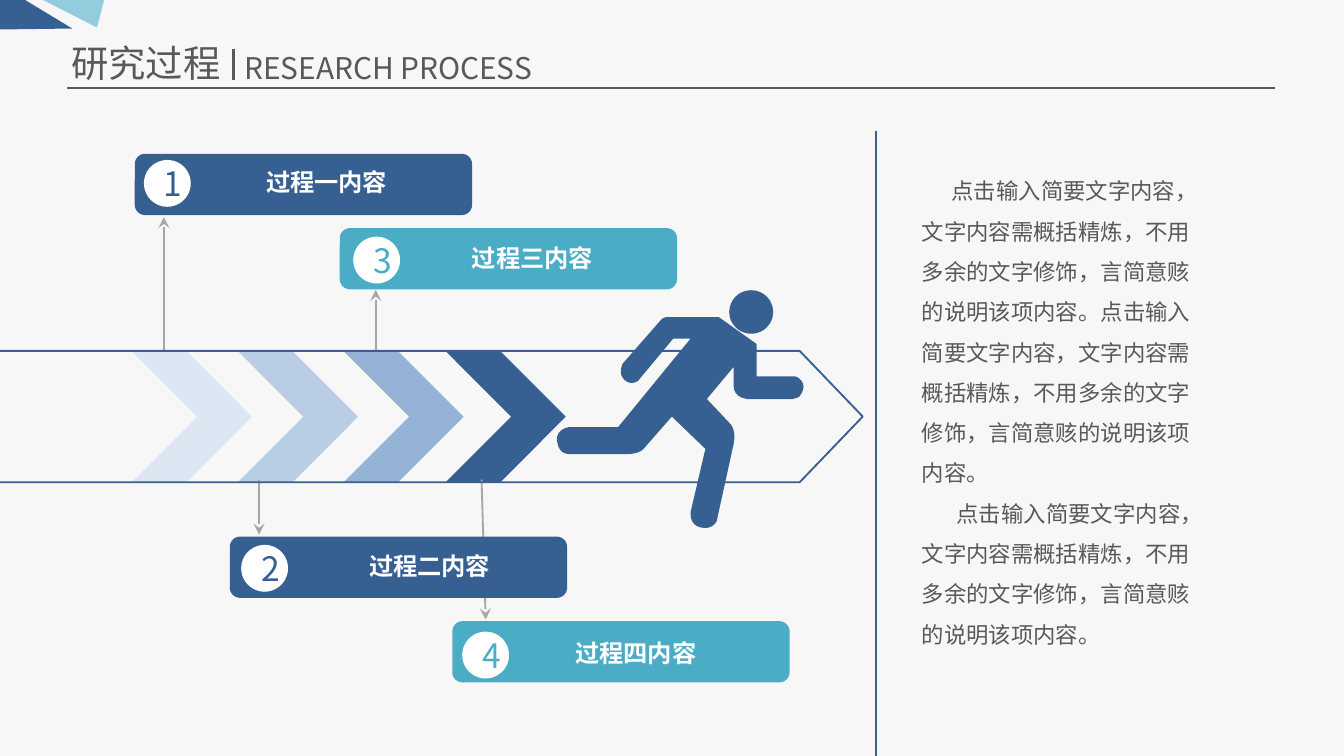
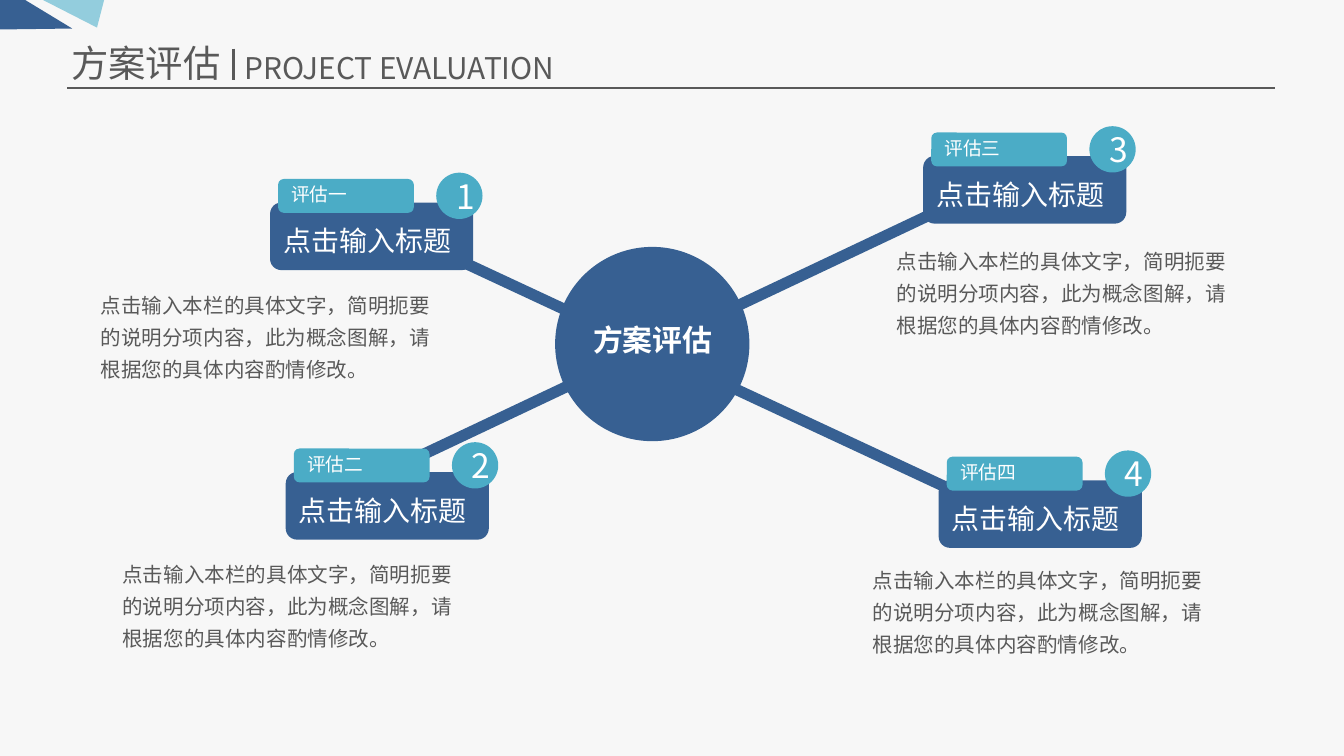
from pptx import Presentation
from pptx.dml.color import RGBColor
from pptx.enum.shapes import MSO_CONNECTOR, MSO_SHAPE
from pptx.enum.text import MSO_ANCHOR, MSO_AUTO_SIZE, PP_ALIGN
from pptx.oxml.ns import qn
from pptx.util import Pt
from lxml.etree import SubElement

FONT = "Noto Sans CJK SC"
PAPER, WHITE, INK, GREY = "F7F7F7", "FFFFFF", "595959", "A6A6A6"
NAVY, TEAL, SKY = "376092", "4BACC6", "93CDDD"

INTRO = "点击输入简要文字内容，文字内容需概括精炼，不用多余的文字修饰，言简意赅的说明该项内容。"
TOPIC_BODY = "点击输入本栏的具体文字，简明扼要的说明分项内容，此为概念图解，请根据您的具体内容酌情修改。"

# Process labels: caption, left, top, colour, badge offset, caption offset, caption width
STEPS = [
    ("过程一内容", 72.2, 82.4, NAVY, (4.9, 3.3), (25, 7.1), 155.5),
    ("过程三内容", 182, 122.2, TEAL, (7.2, 4.6), (28.3, 8.3), 149.8),
    ("过程二内容", 123.1, 287.5, NAVY, (6.1, 4.4), (34, 7.9), 146.2),
    ("过程四内容", 242.3, 332.8, TEAL, (5.3, 5.6), (20.6, 9), 155.5),
]
STEP_NUMBERS = [1, 3, 2, 4]
# Arrows from the track to the labels: tip, then tail
STEP_ARROWS = [
    (201.3, 155.3, 201.3, 187.9), (87.8, 116.3, 87.8, 187.9),
    (260.2, 331.9, 258, 257), (138.8, 286.4, 138.8, 257),
]
CHEVRONS = [(70.9, "DCE6F2"), (127.7, "B9CDE5"), (184.3, "95B3D7"), (239, NAVY)]

# Runner's body: pairs are straight edges, sixes are Bezier curves
RUNNER = [
    (7.2, 73.4), (33.8, 73.4), (72.7, 25.9), (63.4, 25.9), (45.4, 47.5),
    (44.6, 49, 42.5, 49.7, 41, 49.7), (38.2, 49.7, 35.3, 46.8, 35.3, 43.9),
    (35.3, 41.8, 36, 39.6, 36.7, 38.9), (56.2, 16.6),
    (57.6, 15.1, 58.3, 14.4, 60.5, 14.4), (87.8, 14.4), (108, 28.8),
    (108, 46.1), (127.4, 46.1), (129.6, 46.1, 130.3, 46.8, 131, 47.5),
    (133.9, 49.7, 133.9, 53.3, 131, 56.9),
    (130.3, 57.6, 129.6, 57.6, 127.4, 58.3), (103, 58.3),
    (95.8, 57.6, 95.8, 51.8, 95.8, 51.8), (95.8, 41), (81.4, 58.3),
    (94.3, 72), (94.3, 72, 97.2, 75.6, 95.8, 82.1), (87.1, 121.7),
    (87.1, 125.3, 83.5, 127.4, 80.6, 127.4),
    (75.6, 127.4, 72.7, 124.6, 72.7, 120.2), (72.7, 118.8), (80.6, 85),
    (62.6, 67.7), (47.5, 85), (47.5, 85, 45.4, 87.8, 38.9, 87.8), (7.9, 87.8),
    (5, 87.8, 2.2, 86.4, 1.4, 82.1), (0, 78.5, 2.2, 74.2, 7.2, 73.4),
]

# Topics: tab name, left, top, body left, body top
TOPICS = [
    ("评估一", 144.7, 108.5, 46.8, 149.4),
    ("评估二", 153.1, 252.9, 58.5, 293.4),
    ("评估三", 494.6, 83.6, 473.2, 126),
    ("评估四", 502.9, 257.3, 460.4, 296.8),
]


def color(value):
    return RGBColor.from_string(value)


def set_values(target, values):
    for name, value in values.items():
        setattr(target, name, value)


def paint(shape, fill=None, line=None, width=1):
    shape.shadow.inherit = False
    if fill:
        shape.fill.solid()
        shape.fill.fore_color.rgb = color(fill)
    else:
        shape.fill.background()
    if line:
        shape.line.color.rgb = color(line)
        shape.line.width = Pt(width)
    else:
        shape.line.fill.background()


def add_preset(page, kind, left, top, width, height, fill=None, line=None, adjust=None):
    shape = page.shapes.add_shape(kind, Pt(left), Pt(top), Pt(width), Pt(height))
    if adjust is not None:
        shape.adjustments[0] = adjust
    paint(shape, fill, line)
    return shape


def add_line(page, start_x, start_y, end_x, end_y, ink, width, arrow=False):
    line = page.shapes.add_connector(
        MSO_CONNECTOR.STRAIGHT, Pt(start_x), Pt(start_y), Pt(end_x), Pt(end_y))
    line.line.color.rgb = color(ink)
    line.line.width = Pt(width)
    properties = line._element.spPr
    if arrow:
        SubElement(properties.find(qn("a:ln")), qn("a:headEnd"), type="stealth")
    SubElement(properties, qn("a:effectLst"))


def curve_points(start, curve, steps=6):
    x1, y1, x2, y2, x3, y3 = curve
    for step in range(1, steps + 1):
        t = step / steps
        weights = ((1 - t) ** 3, 3 * t * (1 - t) ** 2, 3 * t * t * (1 - t), t ** 3)
        yield tuple(sum(w * v for w, v in zip(weights, axis))
                    for axis in ((start[0], x1, x2, x3), (start[1], y1, y2, y3)))


def add_outline(page, left, top, outline, fill):
    points = []
    for item in outline:
        points.extend([item] if len(item) == 2 else curve_points(points[-1], item))
    corners = [(Pt(left + x), Pt(top + y)) for x, y in points]
    builder = page.shapes.build_freeform(*corners[0])
    builder.add_line_segments(corners[1:], close=True)
    paint(builder.convert_to_shape(), fill)


def write(frame, paragraphs, size, ink, bold=False, align=PP_ALIGN.LEFT, spacing=None, indents=()):
    for index, text in enumerate(paragraphs):
        para = frame.paragraphs[0] if index == 0 else frame.add_paragraph()
        set_values(para, {"alignment": align, "line_spacing": spacing})
        if indents:
            para._p.get_or_add_pPr().set("indent", str(Pt(indents[index])))
        span = para.add_run()
        span.text = text
        set_values(span.font, {"name": FONT, "size": Pt(size), "bold": bold})
        span.font.color.rgb = color(ink)
        SubElement(span._r.get_or_add_rPr(), qn("a:ea"), typeface=FONT)


def add_text(page, left, top, width, height, paragraphs, size, ink,
             wrap=True, inset=True, **styles):
    box = page.shapes.add_textbox(Pt(left), Pt(top), Pt(width), Pt(height))
    frame = box.text_frame
    set_values(frame, {"word_wrap": wrap, "auto_size": MSO_AUTO_SIZE.SHAPE_TO_FIT_TEXT})
    if not inset:
        set_values(frame, dict.fromkeys(
            ("margin_left", "margin_top", "margin_right", "margin_bottom"), 0))
    write(frame, paragraphs, size, ink, **styles)


def add_badge(page, left, top, size, number, fill, ink):
    badge = add_preset(page, MSO_SHAPE.OVAL, left, top, size, size, fill)
    badge.text_frame.vertical_anchor = MSO_ANCHOR.MIDDLE
    write(badge.text_frame, [str(number)], 18, ink, align=PP_ALIGN.CENTER)


# Background, corner, title and rule common to every page
def add_page(deck, title, english, english_width):
    page = deck.slides.add_slide(deck.slide_layouts[6])
    page.background.fill.solid()
    page.background.fill.fore_color.rgb = color(PAPER)
    add_line(page, 36, 47.2, 683.3, 47.2, INK, 0.75)
    add_outline(page, 0, 0, [(23, 0), (52, 14.8), (55.8, 0)], SKY)
    add_outline(page, 0, 0, [(38.7, 15.3), (13.5, 0), (0, 0), (0, 15.8)], NAVY)
    add_text(page, 31, 18, 95, 31.7, [title], 20, INK, wrap=False)
    add_text(page, 123.9, 23, english_width, 26.6, [english], 16, INK, wrap=False)
    add_line(page, 125.3, 26, 125.3, 42.7, INK, 1.5)
    return page


# Numbered process label
def add_step(page, number, caption, left, top, fill, badge, text, text_width):
    add_preset(page, MSO_SHAPE.ROUNDED_RECTANGLE, left, top, 180.7, 32.8, fill)
    add_badge(page, left + badge[0], top + badge[1], 25.1, number, WHITE, fill)
    add_text(page, left + text[0], top + text[1], text_width, 15.8, [caption], 13, WHITE,
             inset=False, bold=True, align=PP_ALIGN.CENTER)


# Running figure
def add_runner(page, left, top):
    add_preset(page, MSO_SHAPE.OVAL, left + 93.3, top, 23.6, 23.3, NAVY)
    add_outline(page, left, top, RUNNER, NAVY)


# Side column with the summary: a double paragraph, then a single one
def add_summary(page, left, top, height):
    add_line(page, left, top, left, top + height, NAVY, 1)
    add_text(page, left + 17.3, top + 14.1, 169.9, 266.4, [INTRO * 2, INTRO], 12, INK,
             spacing=1.5, indents=(16, 18.7))


def build_process(deck):
    page = add_page(deck, "研究过程", "RESEARCH PROCESS", 174.2)
    for left, fill in CHEVRONS:
        add_preset(page, MSO_SHAPE.CHEVRON, left, 188.4, 64.1, 69.8, fill, adjust=0.544)
    for arrow in STEP_ARROWS:
        add_line(page, *arrow, GREY, 1, arrow=True)
    add_preset(page, MSO_SHAPE.PENTAGON, -2.9, 188, 465.1, 70.4, line=NAVY, adjust=0.48)
    add_summary(page, 469.4, 70.2, 334.8)
    for number, step in zip(STEP_NUMBERS, STEPS):
        add_step(page, number, *step)
    add_runner(page, 297.3, 155.5)


# Numbered topic with its tab and body
def add_topic(page, number, tab, left, top, body_left, body_top):
    add_preset(page, MSO_SHAPE.ROUNDED_RECTANGLE, left, top, 108.8, 36.2, NAVY)
    add_preset(page, MSO_SHAPE.ROUNDED_RECTANGLE, left + 4.3, top - 12.6, 72.7, 18.1, TEAL)
    add_text(page, left, top + 7.9, 105.1, 25.2, ["点击输入标题"], 15, WHITE, wrap=False)
    add_text(page, left + 4.3, top - 13.9, 44.6, 19.4, [tab], 10, WHITE, wrap=False)
    add_badge(page, left + 89, top - 16, 24.8, number, TEAL, WHITE)
    add_text(page, body_left, body_top, 193, 59, [TOPIC_BODY], 11, INK, spacing=1.3)


# Central circle
def add_hub(page, left, top, size):
    add_preset(page, MSO_SHAPE.OVAL, left, top, size, size, NAVY)
    add_text(page, left + 16, top + 39.9, size - 31.6, 19.4, ["方案评估"], 16, WHITE,
             inset=False, bold=True, align=PP_ALIGN.CENTER)


def build_evaluation(deck):
    page = add_page(deck, "方案评估", "PROJECT EVALUATION", 188.6)
    add_line(page, 172.1, 269.3, 531.4, 99.4, NAVY, 6)
    add_line(page, 519.8, 267.1, 234, 133.9, NAVY, 6)
    add_hub(page, 297.4, 132.3, 104.1)
    for number, topic in enumerate(TOPICS, 1):
        add_topic(page, number, *topic)


def main():
    deck = Presentation()
    set_values(deck, {"slide_width": Pt(720), "slide_height": Pt(405)})
    build_process(deck)
    build_evaluation(deck)
    deck.save("out.pptx")


if __name__ == "__main__":
    main()
